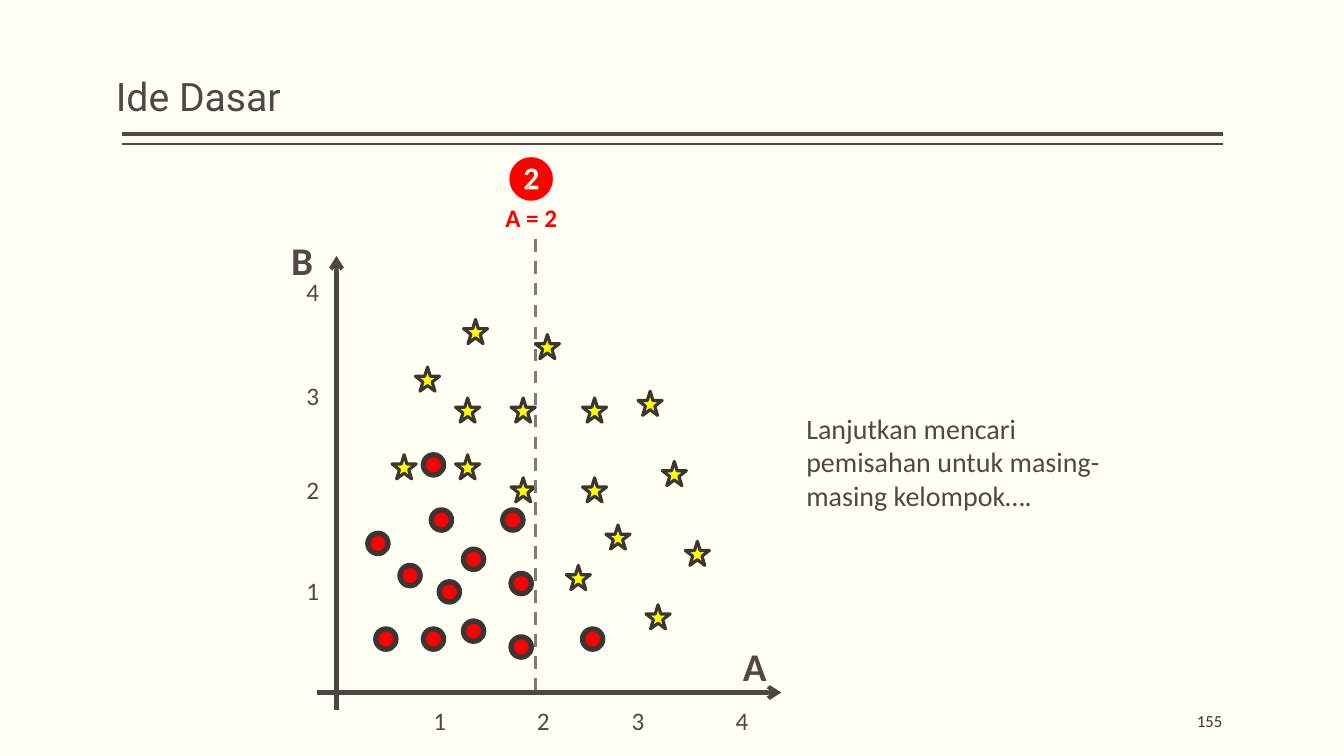
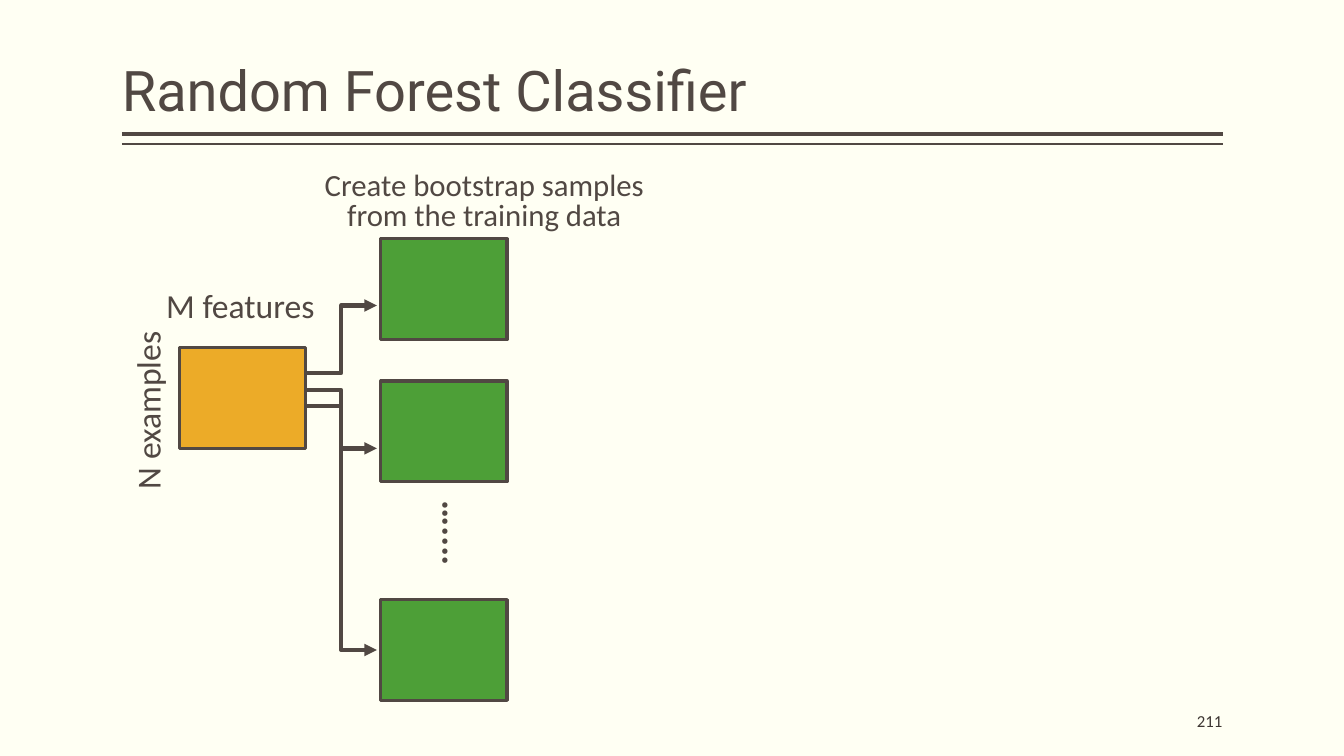
"""Build two slides on decision tree splits and random forest sampling."""
from lxml import etree
from pptx import Presentation
from pptx.dml.color import RGBColor
from pptx.enum.dml import MSO_LINE
from pptx.enum.shapes import MSO_CONNECTOR, MSO_SHAPE
from pptx.enum.text import MSO_ANCHOR, MSO_AUTO_SIZE, PP_ALIGN
from pptx.oxml.ns import qn
from pptx.util import Cm, Pt

STRAIGHT, ELBOW = MSO_CONNECTOR.STRAIGHT, MSO_CONNECTOR.ELBOW
STAR, DOT, RECT = MSO_SHAPE.STAR_5_POINT, MSO_SHAPE.FLOWCHART_CONNECTOR, MSO_SHAPE.RECTANGLE
LEFT, CENTER, RIGHT = PP_ALIGN.LEFT, PP_ALIGN.CENTER, PP_ALIGN.RIGHT
TOP, MIDDLE, BOTTOM = MSO_ANCHOR.TOP, MSO_ANCHOR.MIDDLE, MSO_ANCHOR.BOTTOM
DASH = MSO_LINE.DASH

COLORS = {
    "paper": "FFFFF3", "ink": "514843", "axis": "504641", "outline": "3C3532",
    "number": "3D3632", "split": "817A74", "yellow": "FFFF00", "red": "FF0000",
    "green": "4D9F37", "orange": "ECAB28",
}
RGB = {name: RGBColor.from_string(value) for name, value in COLORS.items()}


def write(shape, lines, size, color="ink", font="Calibri", bold=False, align=LEFT,
          spacing=None, anchor=TOP, wrap=True, side=0.25):
    tf = shape.text_frame
    frame = {"auto_size": MSO_AUTO_SIZE.NONE, "word_wrap": wrap, "vertical_anchor": anchor,
             "margin_left": Cm(side), "margin_right": Cm(side)}
    for key, value in frame.items():
        setattr(tf, key, value)
    for i, line in enumerate(lines):
        p = tf.add_paragraph() if i else tf.paragraphs[0]
        p.alignment, p.line_spacing = align, spacing
        r = p.add_run()
        r.text = line
        for key, value in {"size": Pt(size), "name": font, "bold": bold}.items():
            setattr(r.font, key, value)
        r.font.color.rgb = RGB[color]


def connect(s, kind, start, end, color, width, dash=None, tail=None):
    c = s.shapes.add_connector(kind, *map(Cm, start + end))
    c.line.color.rgb = RGB[color]
    c.line.width = Pt(width)
    c.line.dash_style = dash
    if tail:
        etree.SubElement(c.line._get_or_add_ln(), qn("a:tailEnd"), type=tail)
    etree.SubElement(c._element.spPr, qn("a:effectLst"))


prs = Presentation()
prs.slide_width, prs.slide_height = Cm(33.87), Cm(19.05)
background = prs.slide_master.background.fill
background.solid()
background.fore_color.rgb = RGB["paper"]

pages = [
    ("Ide Dasar", 28, (2.92, 1.04, 21.89, 2.11), "155"),
    ("Random Forest Classifier", 40, (3.07, 0.2, 27.74, 3.05), "211"),
]
slides = []
for title, size, place, number in pages:
    s = prs.slides.add_slide(prs.slide_layouts[5])
    slides.append(s)
    for y, width in ((3.38, 3), (3.63, 1)):
        connect(s, STRAIGHT, (3.07, y), (30.81, y), "ink", width)
    sp = s.shapes.title
    sp.left, sp.top, sp.width, sp.height = map(Cm, place)
    write(sp, [title], size, font="Roboto", spacing=0.9, anchor=BOTTOM, side=0)
    sp = s.shapes.add_textbox(Cm(25.73), Cm(17.65), Cm(5.08), Cm(1.02))
    write(sp, [number], 12, color="number", align=RIGHT, anchor=MIDDLE, side=0)
scatter, forest = slides

stars = [
    (11.68, 8.05), (10.47, 9.25), (12.88, 10.03), (13.49, 8.43), (16.08, 9.86), (12.88, 12.04),
    (14.68, 10.03), (15.27, 13.23), (14.68, 12.04), (16.69, 11.63), (14.27, 14.25), (17.27, 13.64),
    (11.48, 11.46), (9.88, 11.46), (11.48, 10.03), (16.28, 15.24),
]
dots = [
    (10.87, 12.85), (12.67, 12.85), (11.68, 13.84), (10.08, 14.25), (11.68, 15.65), (12.88, 14.45),
    (11.07, 14.66), (14.68, 15.85), (12.88, 16.05), (10.67, 11.46), (9.27, 13.44), (10.67, 15.85),
    (9.47, 15.85),
]
samples = [(9.6, 6.02), (9.6, 9.6), (9.6, 15.11)]
shape_sets = [
    (scatter, STAR, "yellow", "outline", 2.25, (0.61, 0.61), stars),
    (scatter, DOT, "red", "outline", 3.78, (0.51, 0.51), dots),
    (forest, RECT, "green", "ink", 2.25, (3.18, 2.54), samples),
    (forest, RECT, "orange", "ink", 2.25, (3.18, 2.54), [(4.52, 8.76)]),
]
for s, kind, fill, outline, width, size, points in shape_sets:
    for point in points:
        sp = s.shapes.add_shape(kind, *map(Cm, point + size))
        sp.shadow.inherit = False
        sp.fill.solid()
        sp.fill.fore_color.rgb = RGB[fill]
        sp.line.color.rgb = RGB[outline]
        sp.line.width = Pt(width)

connect(scatter, STRAIGHT, (8.48, 17.88), (8.48, 6.45), "axis", 3, tail="arrow")
connect(scatter, STRAIGHT, (8, 17.45), (19.69, 17.45), "axis", 3, tail="arrow")
connect(scatter, STRAIGHT, (13.49, 17.4), (13.49, 5.97), "split", 2.25, dash=DASH)
for start, end in ((10.24, 11.3), (9.83, 16.38), (9.4, 7.7)):
    connect(forest, ELBOW, (7.7, start), (9.5, end), "ink", 3, tail="triangle")

ticks = [(7.47, y) for y in (14.38, 11.84, 9.45, 6.83)]
ticks += [(x, 17.65) for x in (10.67, 13.28, 15.67, 18.29)]
labels = [(scatter, point + (0.61, 1.02), 0, [str(i % 4 + 1)], {"size": 18})
          for i, point in enumerate(ticks)]
labels += [
    (scatter, (7.09, 5.84, 1.19, 1.45), 0, ["B"], {"size": 28, "bold": True}),
    (scatter, (18.47, 16.05, 1.19, 1.45), 0, ["A"], {"size": 28, "bold": True}),
    (scatter, (20.07, 10.24, 8, 3.68), 0,
     ["Lanjutkan mencari pemisahan untuk masing-masing kelompok…."], {"size": 20}),
    (scatter, (11.89, 3.63, 3, 2.39), 0, ["❷", "A = 2"],
     {"size": 18, "color": "red", "align": CENTER}),
    (forest, (1.45, 9.68, 4.52, 1.27), 270, ["N examples"], {"size": 24, "wrap": False}),
    (forest, (3.94, 7.06, 4.29, 1.27), 0, ["M features"], {"size": 24, "wrap": False}),
    (forest, (4.37, 4.24, 15.67, 1.75), 0,
     ["Create bootstrap samples", "from the training data"],
     {"size": 22, "align": CENTER, "spacing": 0.8}),
    (forest, (9.83, 12.75, 2.16, 1.35), 270, ["....…"],
     {"size": 26, "bold": True, "wrap": False}),
]
for s, place, rotation, lines, style in labels:
    sp = s.shapes.add_textbox(*map(Cm, place))
    sp.rotation = rotation
    write(sp, lines, **style)
    if lines[0] == "❷":
        step, rule = sp.text_frame.paragraphs
        step.runs[0].font.size = Pt(32)
        rule.runs[0].font.bold = True

prs.save("out.pptx")
